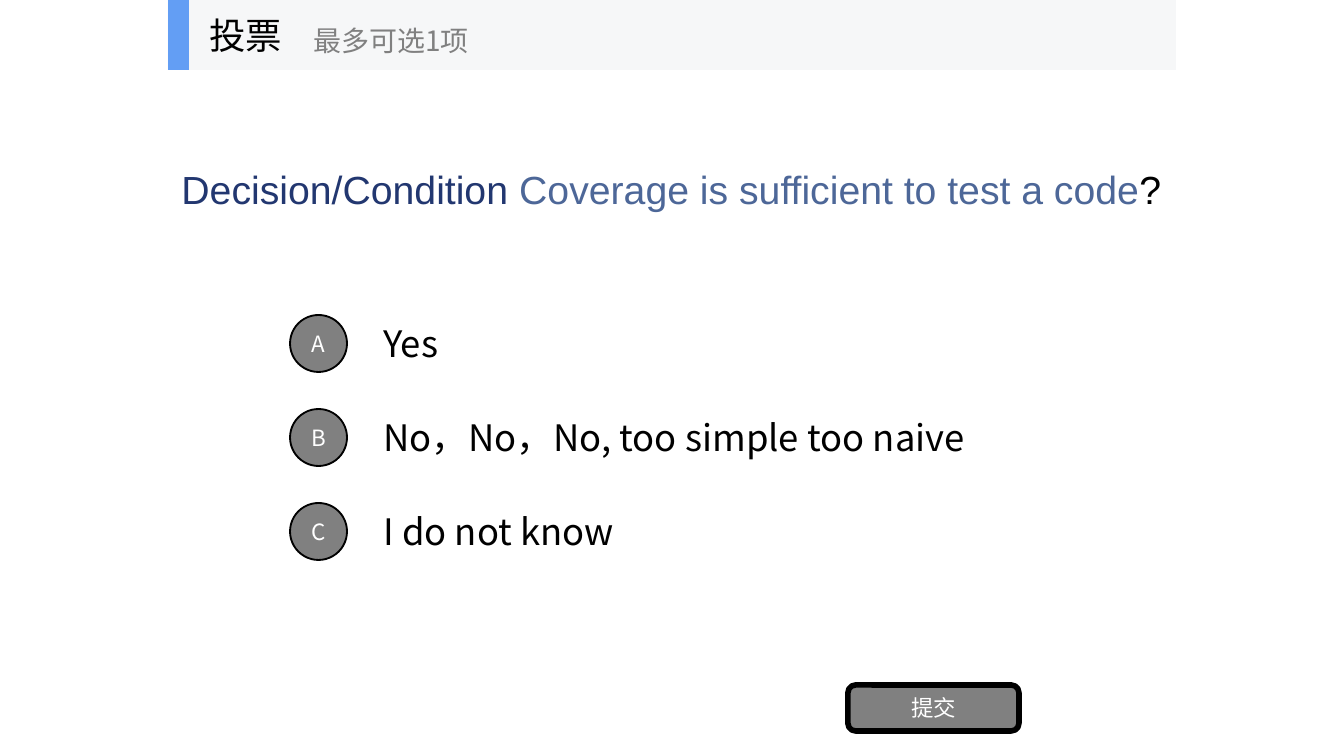
from lxml import etree
from pptx import Presentation
from pptx.dml.color import RGBColor
from pptx.enum.shapes import MSO_SHAPE
from pptx.enum.text import MSO_ANCHOR, MSO_AUTO_SIZE, PP_ALIGN
from pptx.oxml.ns import qn
from pptx.util import Emu, Pt

RECTANGLE, ROUNDED, OVAL = MSO_SHAPE.RECTANGLE, MSO_SHAPE.ROUNDED_RECTANGLE, MSO_SHAPE.OVAL
MIDDLE, NO_AUTOFIT = MSO_ANCHOR.MIDDLE, MSO_AUTO_SIZE.NONE
LEFT, CENTER = PP_ALIGN.LEFT, PP_ALIGN.CENTER
PX = 914400 / 134.4
CJK, LATIN = "Noto Sans CJK SC", "Arial"
BLACK, WHITE, GREY = "000000", "FFFFFF", "808080"

QUESTION = [
    ("Decision/Condition ", "223770"),
    ("Coverage is sufficient to test a code", "4D6798"),
    ("?", BLACK),
]
QUESTION_BOX = (168, 70, 1029, 237)
OPTIONS = [
    ("A", "Yes"),
    ("B", "No，No，No, too simple too naive"),
    ("C", "I do not know"),
]
OPTION_TOP, OPTION_PITCH, OPTION_HEIGHT = 308, 94, 71
OPTION_LEFT, OPTION_WIDTH = 370, 706
MARKER_LEFT, MARKER_SIZE = 290, 57
BUTTON = ("提交", (848, 685, 171, 46))
HEADER_BARS = [((168, 0, 1008, 70), "F6F7F8"), ((168, 0, 21, 70), "639EF4")]
HEADER_TEXTS = [
    ("投票", (196, 0, 210, 70), 19.5, BLACK),
    ("最多可选1项", (300, 12, 253, 57), 15, GREY),
]


def color(value):
    return RGBColor.from_string(value)


def place(box):
    return [Emu(round(length * PX)) for length in box]


def format_run(run, size, fill, font=CJK):
    run.font.size = Pt(size)
    run.font.name = font
    run.font.color.rgb = color(fill)
    east_asian = etree.SubElement(run.font._element, qn("a:ea"))
    east_asian.set("typeface", font)


def write(shape, text, size, fill, align=LEFT):
    frame = shape.text_frame
    frame.text = text
    frame.word_wrap = True
    frame.vertical_anchor = MIDDLE
    paragraph = frame.paragraphs[0]
    paragraph.alignment = align
    format_run(paragraph.runs[0], size, fill)


def add_text(shapes, text, box, size, fill):
    write(shapes.add_textbox(*place(box)), text, size, fill)


def add_block(shapes, kind, box, fill, line_width=0):
    shape = shapes.add_shape(kind, *place(box))
    shape.shadow.inherit = False
    shape.fill.solid()
    shape.fill.fore_color.rgb = color(fill)
    if line_width:
        shape.line.color.rgb = color(BLACK)
        shape.line.width = Pt(line_width)
    else:
        shape.line.fill.background()
    return shape


def add_label(shapes, kind, text, box, line_width):
    shape = add_block(shapes, kind, box, GREY, line_width)
    write(shape, text, 12, WHITE, CENTER)
    frame = shape.text_frame
    frame.margin_left = frame.margin_right = frame.margin_top = frame.margin_bottom = 0


def add_question(slide):
    title = slide.shapes.title
    title.left, title.top, title.width, title.height = place(QUESTION_BOX)
    frame = title.text_frame
    frame.auto_size = NO_AUTOFIT
    frame.vertical_anchor = MIDDLE
    paragraph = frame.paragraphs[0]
    paragraph.alignment = LEFT
    for text, fill in QUESTION:
        run = paragraph.add_run()
        run.text = text
        format_run(run, 21, fill, LATIN)


def main():
    presentation = Presentation()
    presentation.slide_width, presentation.slide_height = place((1344, 756))
    slide = presentation.slides.add_slide(presentation.slide_layouts[5])
    shapes = slide.shapes
    add_question(slide)

    for index, (letter, answer) in enumerate(OPTIONS):
        top = OPTION_TOP + index * OPTION_PITCH
        marker_top = top + (OPTION_HEIGHT - MARKER_SIZE) // 2
        add_text(shapes, answer, (OPTION_LEFT, top, OPTION_WIDTH, OPTION_HEIGHT), 19.5, BLACK)
        add_label(shapes, OVAL, letter, (MARKER_LEFT, marker_top, MARKER_SIZE, MARKER_SIZE), 1)

    add_label(shapes, ROUNDED, *BUTTON, 3)

    header = shapes.add_group_shape()
    for box, fill in HEADER_BARS:
        add_block(header.shapes, RECTANGLE, box, fill)
    for text, box, size, fill in HEADER_TEXTS:
        add_text(header.shapes, text, box, size, fill)

    presentation.save("out.pptx")


if __name__ == "__main__":
    main()
